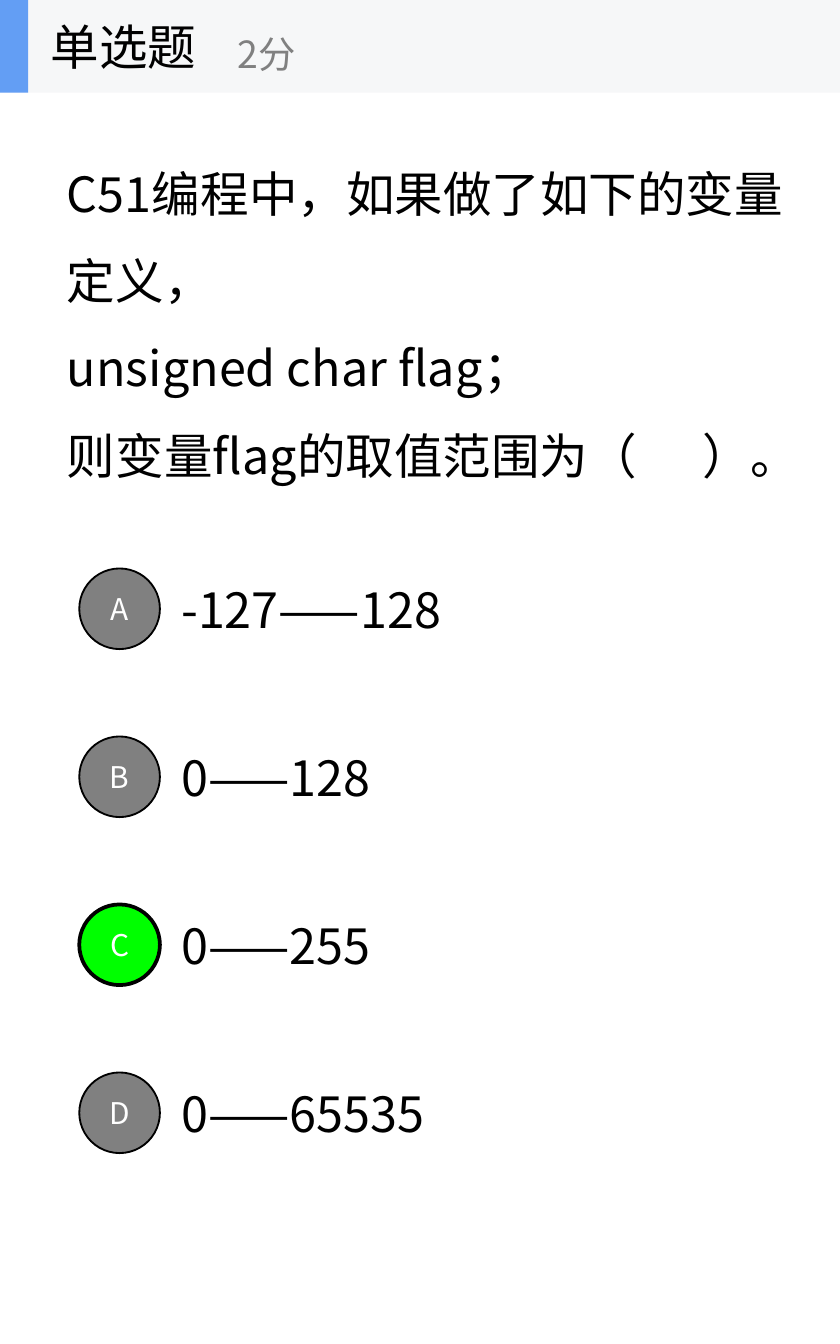
"""Build a single-choice question slide with four lettered options."""
from lxml.etree import SubElement
from pptx import Presentation
from pptx.dml.color import RGBColor
from pptx.enum.shapes import MSO_SHAPE
from pptx.enum.text import MSO_ANCHOR, PP_ALIGN
from pptx.oxml.ns import qn
from pptx.util import Inches, Pt

FONT = "Noto Sans CJK SC"


def write(box, lines, size, color="000000", align=PP_ALIGN.LEFT, spacing=None):
    frame = box.text_frame
    frame.word_wrap = True
    frame.vertical_anchor = MSO_ANCHOR.MIDDLE
    frame.text = "\n".join(lines)
    for para in frame.paragraphs:
        para.alignment = align
        para.line_spacing = spacing
        para.font.name = FONT
        para.font.size = Pt(size)
        para.font.color.rgb = RGBColor.from_string(color)
        properties = para._p.pPr.find(qn("a:defRPr"))
        SubElement(properties, qn("a:ea")).set("typeface", FONT)


def add_filled(shapes, kind, left, top, width, height, fill, line_width=0):
    shape = shapes.add_shape(kind, Inches(left), Inches(top), Inches(width), Inches(height))
    shape.shadow.inherit = False
    shape.fill.solid()
    shape.fill.fore_color.rgb = RGBColor.from_string(fill)
    if line_width:
        shape.line.color.rgb = RGBColor.from_string("000000")
        shape.line.width = Pt(line_width)
    else:
        shape.line.fill.background()
    return shape


deck = Presentation()
deck.slide_width = Inches(6.25)
deck.slide_height = Inches(10)
page = deck.slides.add_slide(deck.slide_layouts[6])

question = page.shapes.add_textbox(Inches(0.4), Inches(0.69), Inches(5.57), Inches(3.22))
question_lines = [
    "C51编程中，如果做了如下的变量定义，",
    "unsigned char flag；",
    "则变量flag的取值范围为（      ）。",
]
write(question, question_lines, 26, spacing=1.5)

options = {"A": "-127——128", "B": "0——128", "C": "0——255", "D": "0——65535"}
correct = "C"
for index, (letter, answer) in enumerate(options.items()):
    top = 4.06 + 1.25 * index
    answer_box = page.shapes.add_textbox(Inches(1.25), Inches(top), Inches(4.38), Inches(0.94))
    write(answer_box, [answer], 26)
    fill, line_width = ("00FF00", 2) if letter == correct else ("808080", 1)
    badge = add_filled(page.shapes, MSO_SHAPE.OVAL, 0.59, top + 0.17, 0.6, 0.6, fill, line_width)
    write(badge, [letter], 16, "FFFFFF", PP_ALIGN.CENTER)

header = page.shapes.add_group_shape()
add_filled(header.shapes, MSO_SHAPE.RECTANGLE, 0, 0, 6.25, 0.69, "F6F7F8")
add_filled(header.shapes, MSO_SHAPE.RECTANGLE, 0, 0, 0.21, 0.69, "639EF4")
title = header.shapes.add_textbox(Inches(0.28), Inches(0), Inches(2.08), Inches(0.69))
write(title, ["单选题"], 26)
score = header.shapes.add_textbox(Inches(1.67), Inches(0.12), Inches(2.5), Inches(0.56))
write(score, ["2分"], 20, "808080")

deck.save("out.pptx")
